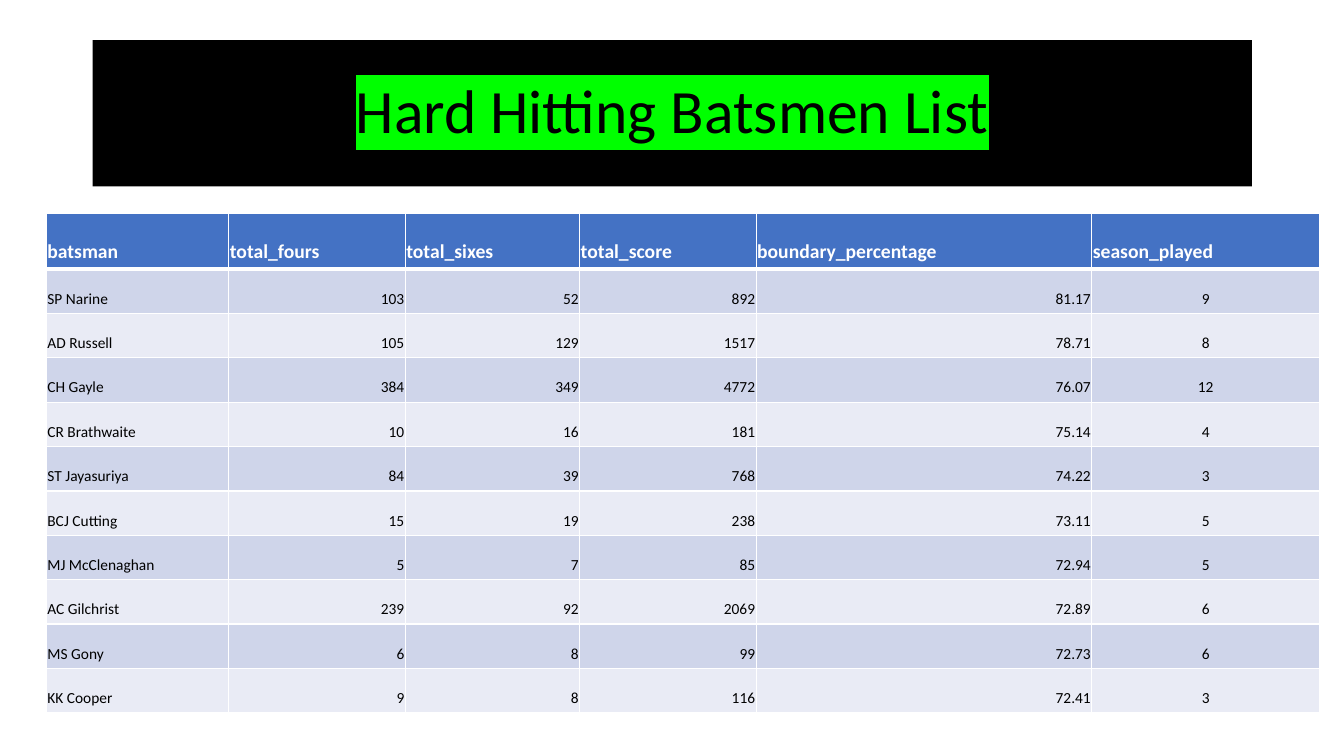
"""Build the hard hitting batsmen slide: a title banner above a table of batting figures."""
import dataclasses
import typing

import lxml.etree
import pptx
import pptx.dml.color
import pptx.enum.shapes
import pptx.enum.text
import pptx.oxml.ns
import pptx.util

ALIGN = pptx.enum.text.PP_ALIGN
ANCHOR = pptx.enum.text.MSO_ANCHOR
qn = pptx.oxml.ns.qn


@dataclasses.dataclass(frozen=True)
class Theme:
    """Colours, font and type sizes of the slide."""
    font: str = "Calibri"
    ink: str = "000000"
    paper: str = "FFFFFF"
    highlight: str = "00FF00"
    header: str = "4472C4"
    bands: tuple[str, str] = ("CFD5EA", "E9EBF5")
    title_size: int = 44
    header_size: int = 14
    body_size: int = 11
    rule: int = 1
    header_rule: int = 3


@dataclasses.dataclass(frozen=True)
class Column:
    """A table column with its width in percent of the slide."""
    name: str
    width: float
    align: ALIGN = ALIGN.RIGHT


class Batsman(typing.NamedTuple):
    """One row of batting figures."""
    name: str
    fours: int
    sixes: int
    score: int
    boundary: float
    seasons: int


THEME = Theme()
SLIDE_W, SLIDE_H = pptx.util.Inches(13.33), pptx.util.Inches(7.5)
HEADER_ROW, BODY_ROW = 7.33, 5.87
COLUMNS = [
    Column("batsman", 13.58, ALIGN.LEFT),
    Column("total_fours", 13.13),
    Column("total_sixes", 12.98),
    Column("total_score", 13.13),
    Column("boundary_percentage", 24.98),
    Column("season_played", 16.95, ALIGN.CENTER),
]
BATSMEN = [
    Batsman("SP Narine", 103, 52, 892, 81.17, 9),
    Batsman("AD Russell", 105, 129, 1517, 78.71, 8),
    Batsman("CH Gayle", 384, 349, 4772, 76.07, 12),
    Batsman("CR Brathwaite", 10, 16, 181, 75.14, 4),
    Batsman("ST Jayasuriya", 84, 39, 768, 74.22, 3),
    Batsman("BCJ Cutting", 15, 19, 238, 73.11, 5),
    Batsman("MJ McClenaghan", 5, 7, 85, 72.94, 5),
    Batsman("AC Gilchrist", 239, 92, 2069, 72.89, 6),
    Batsman("MS Gony", 6, 8, 99, 72.73, 6),
    Batsman("KK Cooper", 9, 8, 116, 72.41, 3),
]
CELL_FORMAT = {
    "vertical_anchor": ANCHOR.BOTTOM,
    "margin_left": pptx.util.Inches(0.01),
    "margin_top": pptx.util.Inches(0.01),
    "margin_right": pptx.util.Inches(0.01),
    "margin_bottom": pptx.util.Inches(0.05),
}


def across(share: float) -> int:
    """Return a percentage of the slide width."""
    return round(SLIDE_W * share / 100)


def down(share: float) -> int:
    """Return a percentage of the slide height."""
    return round(SLIDE_H * share / 100)


def apply(target: typing.Any, values: dict[str, typing.Any]) -> None:
    """Set every named attribute on the target."""
    for name, value in values.items():
        setattr(target, name, value)


def paint(target: typing.Any, color: str) -> None:
    """Fill a shape or cell with one colour."""
    target.fill.solid()
    target.fill.fore_color.rgb = pptx.dml.color.RGBColor.from_string(color)


def write(tf: typing.Any, text: str, size: int, color: str, align: ALIGN, bold: bool = False) -> typing.Any:
    """Write one formatted run in the first paragraph and return it."""
    p = tf.paragraphs[0]
    p.alignment = align
    r = p.add_run()
    r.text = text
    apply(r.font, {"name": THEME.font, "size": pptx.util.Pt(size), "bold": bold})
    r.font.color.rgb = pptx.dml.color.RGBColor.from_string(color)
    return r


def highlight(r: typing.Any, color: str) -> None:
    """Mark a run with a highlight colour."""
    mark = lxml.etree.Element(qn("a:highlight"))
    lxml.etree.SubElement(mark, qn("a:srgbClr"), val=color)
    r.font._element.find(qn("a:solidFill")).addnext(mark)


def border(cell: typing.Any, widths: dict[str, int]) -> None:
    """Draw the cell's borders, given by side in points."""
    tc_pr = cell._tc.get_or_add_tcPr()
    for i, (side, width) in enumerate(widths.items()):
        ln = lxml.etree.Element(qn(f"a:ln{side}"), w=str(pptx.util.Pt(width)))
        fill = lxml.etree.SubElement(ln, qn("a:solidFill"))
        lxml.etree.SubElement(fill, qn("a:srgbClr"), val=THEME.paper)
        tc_pr.insert(i, ln)


def add_banner(s: typing.Any, text: str) -> None:
    """Add the title banner with its highlighted text."""
    sp = s.shapes.add_shape(pptx.enum.shapes.MSO_SHAPE.RECTANGLE,
                            across(6.9), down(5.33), across(86.25), down(19.33))
    sp.shadow.inherit = False
    sp.line.fill.background()
    paint(sp, THEME.ink)
    tf = sp.text_frame
    apply(tf, {"word_wrap": True, "vertical_anchor": ANCHOR.MIDDLE})
    tf.paragraphs[0].line_spacing = 0.9
    r = write(tf, text, THEME.title_size, THEME.ink, ALIGN.CENTER)
    highlight(r, THEME.highlight)


def add_figures(s: typing.Any, columns: list[Column], batsmen: list[Batsman]) -> None:
    """Add the table with a header row and banded body rows."""
    heights = [HEADER_ROW] + [BODY_ROW] * len(batsmen)
    table = s.shapes.add_table(len(heights), len(columns), across(3.45), down(28.27),
                               across(sum(c.width for c in columns)), down(sum(heights))).table
    table.horz_banding = False
    for row, height in zip(table.rows, heights):
        row.height = down(height)
    for j, column in enumerate(columns):
        table.columns[j].width = across(column.width)
        values = [column.name] + [str(batsman[j]) for batsman in batsmen]
        for i, value in enumerate(values):
            cell = table.cell(i, j)
            is_header = i == 0
            apply(cell, CELL_FORMAT)
            paint(cell, THEME.header if is_header else THEME.bands[(i - 1) % 2])
            border(cell, {"L": THEME.rule, "R": THEME.rule,
                          "T": THEME.header_rule if i == 1 else THEME.rule,
                          "B": THEME.header_rule if is_header else THEME.rule})
            if is_header:
                write(cell.text_frame, value, THEME.header_size, THEME.paper, ALIGN.LEFT, True)
            else:
                write(cell.text_frame, value, THEME.body_size, THEME.ink, column.align)


def main() -> None:
    """Build and save the slide."""
    prs = pptx.Presentation()
    apply(prs, {"slide_width": SLIDE_W, "slide_height": SLIDE_H})
    s = prs.slides.add_slide(prs.slide_layouts[6])
    add_banner(s, "Hard Hitting Batsmen List")
    add_figures(s, COLUMNS, BATSMEN)
    prs.save("out.pptx")


main()
